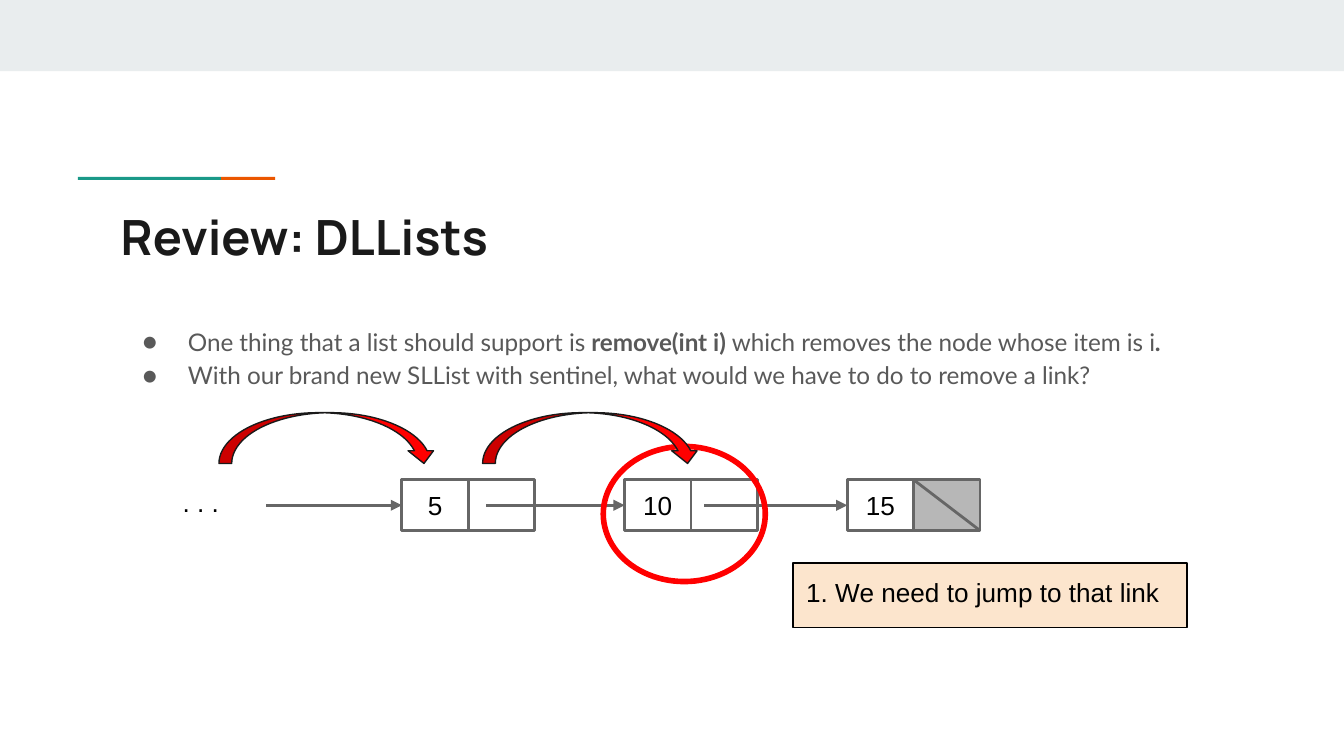
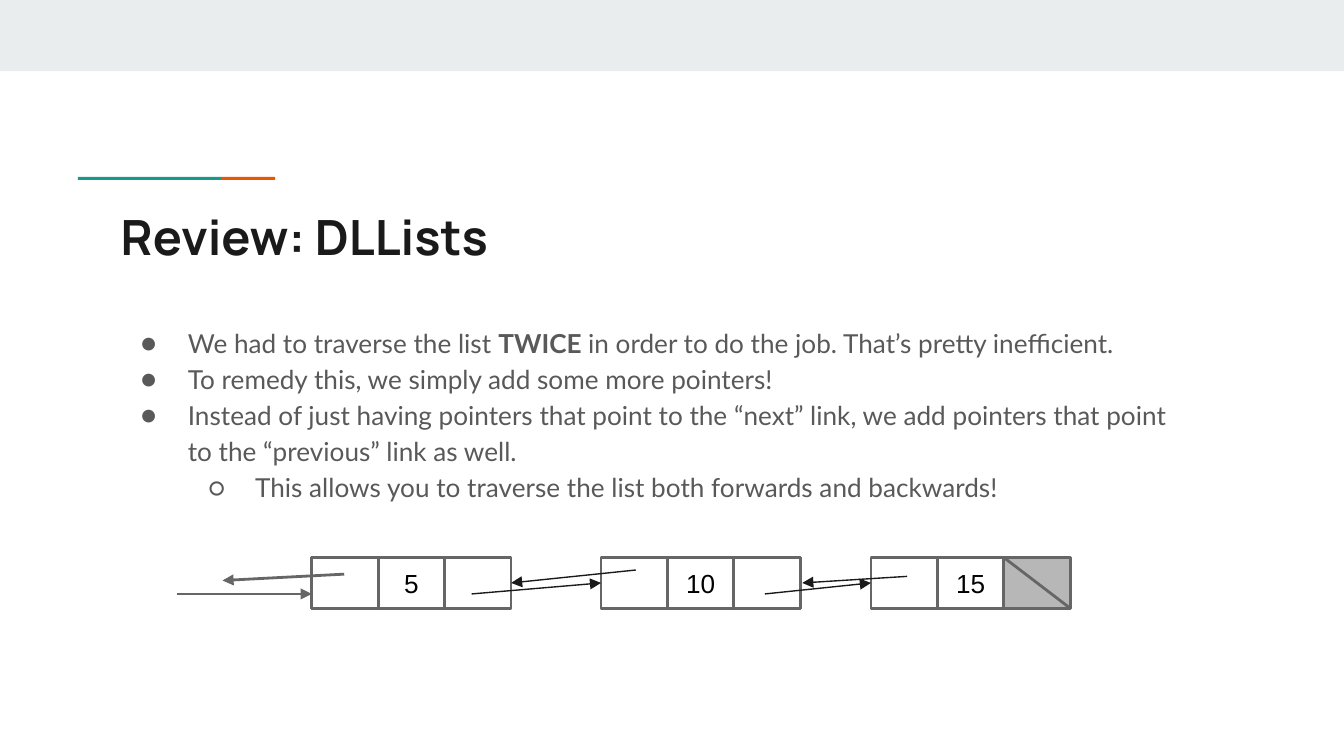
from lxml import etree
from pptx import Presentation
from pptx.dml.color import RGBColor
from pptx.enum import shapes, text
from pptx.oxml import ns
from pptx.util import Pt

# Shared look
BAND, TEAL, ORANGE = "E9EDEE", "1A9988", "EB5600"
INK, BODY, GRAY, NULL_FILL = "1A1A1A", "595959", "666666", "B7B7B7"
BLACK, RED, PEACH = "000000", "FF0000", "FCE5CD"
TITLE_FONT, BODY_FONT, DIAGRAM_FONT = "Manrope", "Lato", "Arial"
CELL_W, CELL_H = 35.6, 27.2
INSET = 7.2
NULL = "null"

# Content: bullets are (level, [(text, bold), ...]), nodes are (left, cells),
# pointers are (x1, y1, x2, y2, color, width)
SLIDES = [
    {
        "title": "Review: DLLists",
        "size": 13,
        "hanging": 24.3,
        "bullets": [
            (0, [("One thing that a list should support is ", False),
                 ("remove(int i) ", True),
                 ("which removes the node whose item is i", False),
                 (".", True)]),
            (0, [("With our brand new SLList with sentinel, what would we "
                  "have to do to remove a link?", False)]),
        ],
        "node_top": 257.1,
        "nodes": [(215.3, ["5", ""]), (334.6, ["10", ""]), (453.9, ["15", NULL])],
        "pointers": [(x1, 270.7, x2, 270.7, GRAY, 1.5)
                     for x1, x2 in [(142.6, 215.3), (260.6, 334.6), (377.3, 453.9)]],
    },
    {
        "title": "Review: DLLists",
        "size": 14,
        "hanging": 25.2,
        "bullets": [
            (0, [("We had to traverse the list ", False), ("TWICE ", True),
                 ("in order to do the job. That’s pretty inefficient.", False)]),
            (0, [("To remedy this, we simply add some more pointers!", False)]),
            (0, [("Instead of just having pointers that point to the “next” link, "
                  "we add pointers that point to the “previous” link as well.", False)]),
            (1, [("This allows you to traverse the list both forwards "
                  "and backwards!", False)]),
        ],
        "node_top": 298.7,
        "nodes": [(167, ["", "5", ""]), (322, ["", "10", ""]), (466.6, ["", "15", NULL])],
        "pointers": [
            (94.6, 318.2, 167, 318.2, GRAY, 1.5),
            (252.7, 318.2, 322, 312.3, INK, 0.75),
            (409.8, 318.2, 466.6, 312.3, INK, 0.75),
            (340.6, 305.4, 273.8, 312.3, INK, 0.75),
            (486, 308.8, 429.8, 312.3, INK, 0.75),
            (184.4, 307.6, 119.2, 311, GRAY, 1.5),
        ],
    },
]
BULLETS = "●○"
JUMP_LEFTS = [162, 303.2]


def rgb(color):
    return RGBColor.from_string(color)


def add_shape(s, kind, x, y, w, h, fill=None, line=None, width=1.5):
    sp = s.shapes.add_shape(kind, Pt(x), Pt(y), Pt(w), Pt(h))
    sp.shadow.inherit = False
    if fill:
        sp.fill.solid()
        sp.fill.fore_color.rgb = rgb(fill)
    else:
        sp.fill.background()
    if line:
        sp.line.color.rgb = rgb(line)
        sp.line.width = Pt(width)
    else:
        sp.line.fill.background()
    return sp


def add_rect(s, *args, **kwargs):
    return add_shape(s, shapes.MSO_SHAPE.RECTANGLE, *args, **kwargs)


def add_box(s, x, y, w, h):
    return s.shapes.add_textbox(Pt(x), Pt(y), Pt(w), Pt(h))


def frame(sp, anchor=text.MSO_ANCHOR.TOP):
    tf = sp.text_frame
    tf.word_wrap = True
    tf.vertical_anchor = anchor
    tf.margin_left = tf.margin_right = tf.margin_top = tf.margin_bottom = Pt(INSET)
    return tf


def add_run(p, words, size, font, color, bold=False):
    r = p.add_run()
    r.text = words
    r.font.size, r.font.name, r.font.bold = Pt(size), font, bold
    r.font.color.rgb = rgb(color)


def write(sp, words, size=14, font=DIAGRAM_FONT, color=BLACK, bold=False,
          align=text.PP_ALIGN.LEFT, anchor=text.MSO_ANCHOR.TOP):
    p = frame(sp, anchor).paragraphs[0]
    p.alignment = align
    add_run(p, words, size, font, color, bold)


def add_line(s, x1, y1, x2, y2, color=GRAY, width=1.5, arrow=True):
    c = s.shapes.add_connector(shapes.MSO_CONNECTOR.STRAIGHT,
                               Pt(x1), Pt(y1), Pt(x2), Pt(y2))
    c.line.color.rgb = rgb(color)
    c.line.width = Pt(width)
    if arrow:
        etree.SubElement(c.line._get_or_add_ln(), ns.qn("a:tailEnd"), type="triangle")
    etree.SubElement(c._element.spPr, ns.qn("a:effectLst"))


def set_bullet(p, level, hanging):
    p.level = level
    p.line_spacing = 1.15
    pPr = p._p.get_or_add_pPr()
    pPr.set("marL", str(Pt(36 * (level + 1))))
    pPr.set("indent", str(-Pt(hanging)))
    color = etree.SubElement(pPr, ns.qn("a:buClr"))
    etree.SubElement(color, ns.qn("a:srgbClr"), val=BODY)
    etree.SubElement(pPr, ns.qn("a:buFont"), typeface=BODY_FONT)
    etree.SubElement(pPr, ns.qn("a:buChar"), char=BULLETS[level])


def add_bullets(s, bullets, size, hanging):
    tf = frame(add_box(s, 57.6, 165.6, 579, 120.2))
    for i, (level, runs) in enumerate(bullets):
        p = tf.add_paragraph() if i else tf.paragraphs[0]
        set_bullet(p, level, hanging)
        for words, bold in runs:
            add_run(p, words, size, BODY_FONT, BODY, bold)


def add_node(s, left, top, cells):
    for i, item in enumerate(cells):
        x = left + i * CELL_W
        is_null = item == NULL
        cell = add_rect(s, x, top, CELL_W, CELL_H,
                        fill=NULL_FILL if is_null else None, line=GRAY)
        if is_null:
            add_line(s, x, top, x + CELL_W, top + CELL_H, arrow=False)
        elif item:
            write(cell, item, align=text.PP_ALIGN.CENTER, anchor=text.MSO_ANCHOR.MIDDLE)


def add_slide(prs, content):
    s = prs.slides.add_slide(prs.slide_layouts[6])
    # Top band, accent rule and title
    add_rect(s, 0, 0, 720, 38.2, fill=BAND)
    add_rect(s, 118.4, 94.8, 29, 1.6, fill=ORANGE)
    add_rect(s, 41.8, 94.8, 76.6, 1.6, fill=TEAL)
    write(add_box(s, 57.6, 103.7, 605.5, 42.5), content["title"],
          26, TITLE_FONT, INK, bold=True)
    add_bullets(s, content["bullets"], content["size"], content["hanging"])
    # Linked list
    for left, cells in content["nodes"]:
        add_node(s, left, content["node_top"], cells)
    for pointer in content["pointers"]:
        add_line(s, *pointer)
    return s


def add_removal_marks(s):
    # Node to remove, earlier nodes, jumps along the list, and callout
    add_shape(s, shapes.MSO_SHAPE.OVAL, 323.2, 239.2, 86.8, 72.4, line=RED, width=3)
    write(add_box(s, 90.7, 253.4, 39.6, 34.6), ". . .")
    for left in JUMP_LEFTS:
        jump = add_shape(s, shapes.MSO_SHAPE.CURVED_RIGHT_ARROW, left, 176.4, 27.2, 116.6,
                         fill=RED, line=INK, width=0.75)
        jump.rotation = 270
        jump._element.spPr.xfrm.set("flipH", "1")
    callout = add_rect(s, 424.8, 301.7, 211.2, 34.7, fill=PEACH, line=BLACK, width=0.75)
    write(callout, "1. We need to jump to that link")


def main():
    prs = Presentation()
    prs.slide_width, prs.slide_height = Pt(720), Pt(405)
    removal, _ = [add_slide(prs, content) for content in SLIDES]
    add_removal_marks(removal)
    prs.save("out.pptx")


if __name__ == "__main__":
    main()
